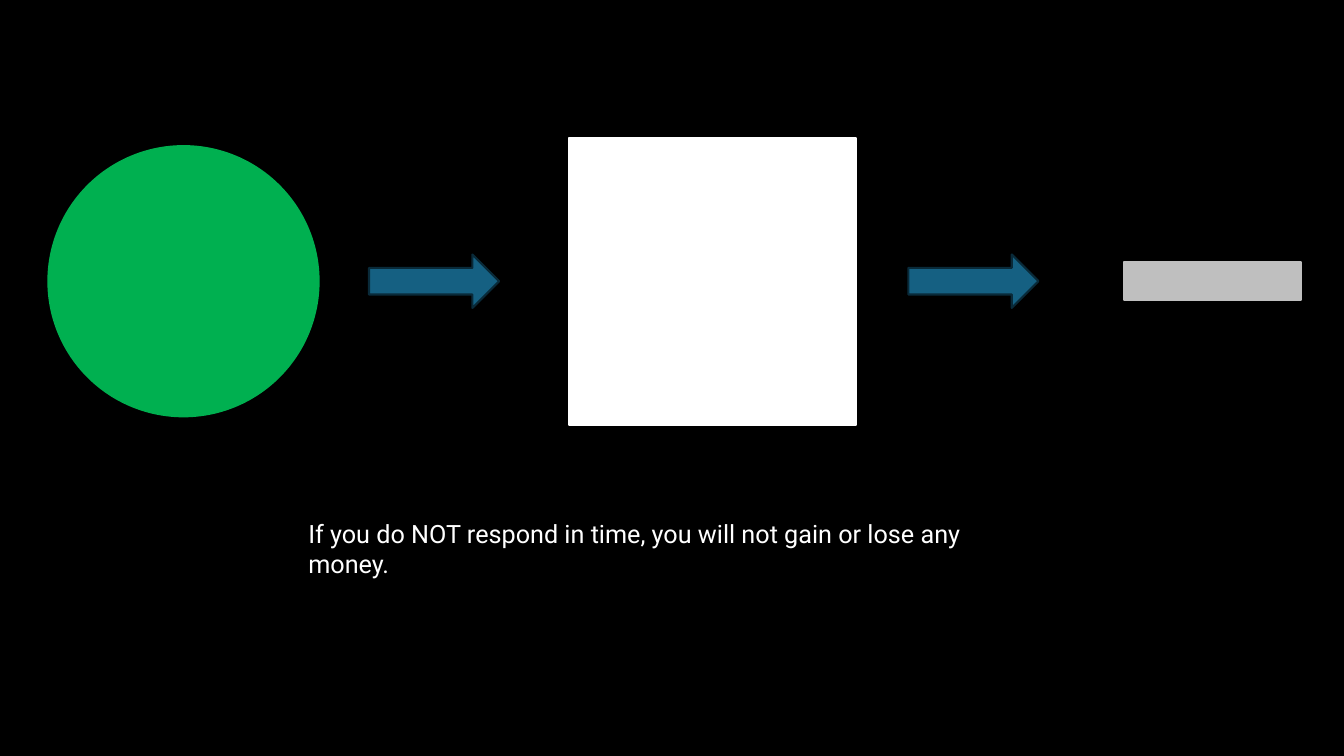
from dataclasses import dataclass

import pptx
import pptx.dml.color
import pptx.enum.shapes
import pptx.enum.text
import pptx.slide
import pptx.util

RGBColor = pptx.dml.color.RGBColor
Inches = pptx.util.Inches
Preset = pptx.enum.shapes.MSO_SHAPE

BLACK = RGBColor(0x00, 0x00, 0x00)
WHITE = RGBColor(0xFF, 0xFF, 0xFF)
GREEN = RGBColor(0x00, 0xB0, 0x50)
GRAY = RGBColor(0xBF, 0xBF, 0xBF)
BLUE = RGBColor(0x15, 0x60, 0x82)
DARK_BLUE = RGBColor(0x09, 0x2A, 0x39)


@dataclass(frozen=True)
class Step:
    preset: Preset
    left: float
    width: float
    height: float
    fill: RGBColor
    outline: RGBColor


ROW_MIDDLE = 2.79
STEPS = (
    Step(Preset.OVAL, 0.48, 2.68, 2.68, GREEN, GREEN),
    Step(Preset.RIGHT_ARROW, 3.66, 1.29, 0.53, BLUE, DARK_BLUE),
    Step(Preset.RECTANGLE, 5.64, 2.85, 2.85, WHITE, WHITE),
    Step(Preset.RIGHT_ARROW, 9.01, 1.29, 0.53, BLUE, DARK_BLUE),
    Step(Preset.RECTANGLE, 11.15, 1.75, 0.38, GRAY, GRAY),
)
MESSAGE = "If you do NOT respond in time, you will not gain or lose any money."
MESSAGE_FORMAT = {"name": "Roboto", "size": pptx.util.Pt(18)}


def draw_step(slide: pptx.slide.Slide, step: Step) -> None:
    """Draw one step, centred vertically on the row."""
    figure = slide.shapes.add_shape(
        step.preset,
        Inches(step.left),
        Inches(ROW_MIDDLE - step.height / 2),
        Inches(step.width),
        Inches(step.height),
    )
    figure.shadow.inherit = False
    figure.fill.solid()
    figure.fill.fore_color.rgb = step.fill
    figure.line.color.rgb = step.outline
    figure.line.width = pptx.util.Pt(1.5)


def draw_message(slide: pptx.slide.Slide) -> None:
    message = slide.shapes.add_textbox(
        Inches(2.96), Inches(5.09), Inches(7.34), Inches(0.4)
    ).text_frame
    message.word_wrap = True
    message.auto_size = pptx.enum.text.MSO_AUTO_SIZE.SHAPE_TO_FIT_TEXT
    sentence = message.paragraphs[0].add_run()
    sentence.text = MESSAGE
    for attribute, value in MESSAGE_FORMAT.items():
        setattr(sentence.font, attribute, value)
    sentence.font.color.rgb = WHITE


def main() -> None:
    presentation = pptx.Presentation()
    presentation.slide_width = Inches(13.33)
    presentation.slide_height = Inches(7.5)
    slide = presentation.slides.add_slide(presentation.slide_layouts[6])
    slide.background.fill.solid()
    slide.background.fill.fore_color.rgb = BLACK
    for step in STEPS:
        draw_step(slide, step)
    draw_message(slide)
    presentation.save("out.pptx")


if __name__ == "__main__":
    main()
